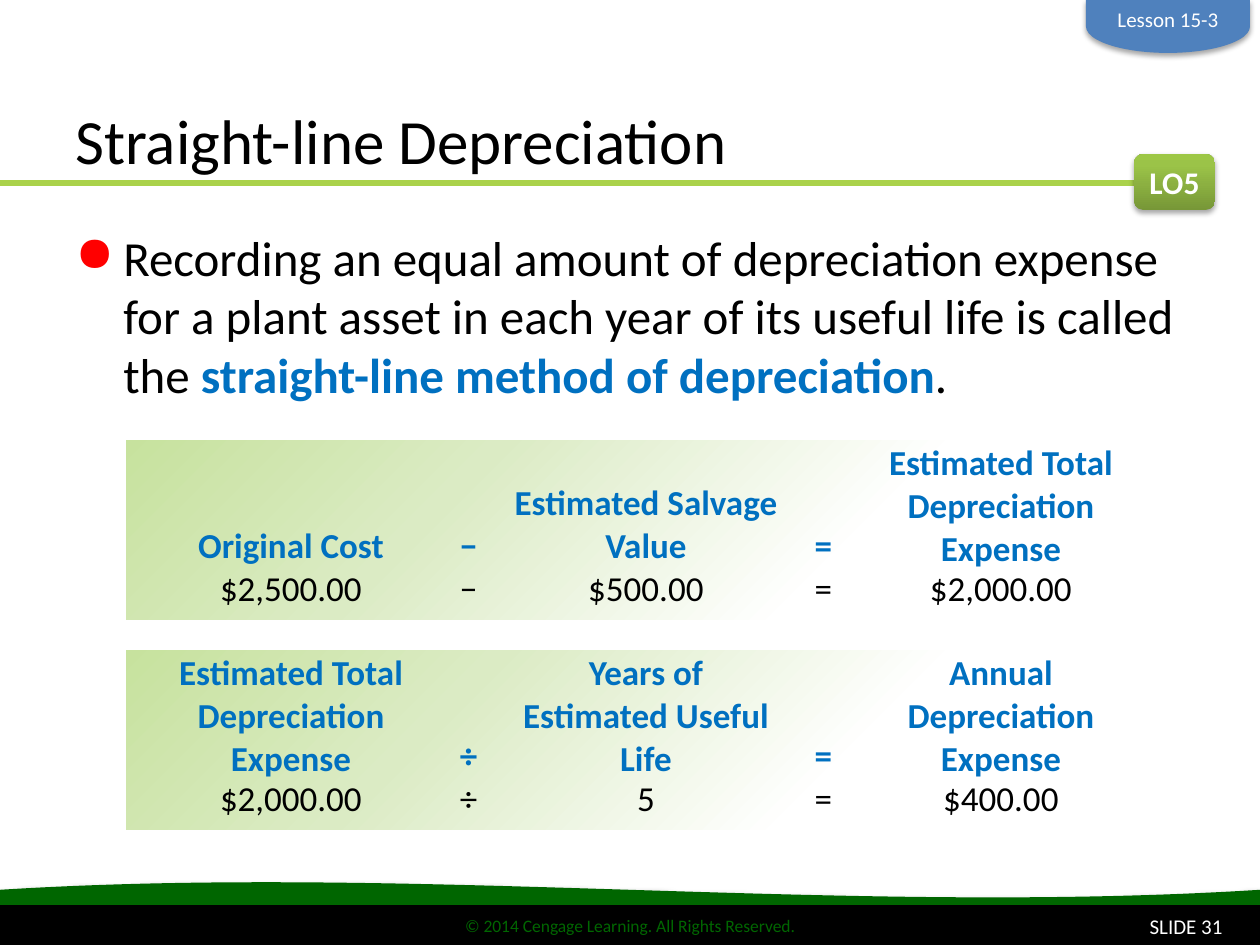
from lxml import etree
from pptx import Presentation
from pptx.dml.color import RGBColor
from pptx.enum.shapes import MSO_CONNECTOR, MSO_SHAPE
from pptx.enum.text import MSO_ANCHOR, PP_ALIGN
from pptx.oxml import parse_xml
from pptx.oxml.ns import nsdecls, qn
from pptx.util import Emu, Pt

RECT, ROUND_RECT = MSO_SHAPE.RECTANGLE, MSO_SHAPE.ROUNDED_RECTANGLE
WAVE, DELAY = MSO_SHAPE.WAVE, MSO_SHAPE.FLOWCHART_DELAY
LEFT, CENTER, RIGHT = PP_ALIGN.LEFT, PP_ALIGN.CENTER, PP_ALIGN.RIGHT
TOP, MIDDLE, BOTTOM = MSO_ANCHOR.TOP, MSO_ANCHOR.MIDDLE, MSO_ANCHOR.BOTTOM

FONT = "Calibri"
BLACK, WHITE, GREEN, BLUE = "000000", "FFFFFF", "006600", "0070C0"
PLAIN_TABLE = "{2D5ABB26-0587-4C30-8999-92F81FD0307C}"
BADGE_STOPS = [(0, "779737"), (80, "9BC348"), (100, "9DC746")]
PANEL_STOPS = [(0, "C7E29E"), (35, "DBEBC4"), (77, "FFFFFF")]
UPWARD = '<a:lin ang="16200000" scaled="0"/>'
FROM_CORNER = '<a:path path="circle"><a:fillToRect r="100000" b="100000"/></a:path>'
COLUMNS = [266, 89, 266, 89, 266]


def px(n):
    return Emu(round(n * 914400 / 126))


def rgb(value):
    return RGBColor.from_string(value)


def style(run, size, color, bold=False):
    font = run.font
    font.name, font.size, font.bold = FONT, Pt(size), bold
    font.color.rgb = rgb(color)


def write(tf, text, size, color, bold=False, align=LEFT, anchor=TOP, wrap=True):
    tf.word_wrap = wrap
    tf.vertical_anchor = anchor
    p = tf.paragraphs[0]
    p.text = text
    p.alignment = align
    style(p.runs[0], size, color, bold)


def add_text(shapes, box, *args, **kwargs):
    sp = shapes.add_textbox(*map(px, box))
    write(sp.text_frame, *args, **kwargs)


def add_block(shapes, kind, box, fill=None):
    sp = shapes.add_shape(kind, *map(px, box))
    sp.shadow.inherit = False
    sp.line.fill.background()
    if fill:
        sp.fill.solid()
        sp.fill.fore_color.rgb = rgb(fill)
    return sp


def drop_shadow(sp):
    effects = sp._element.spPr.find(qn("a:effectLst"))
    effects.append(parse_xml(
        f'<a:outerShdw {nsdecls("a")} blurRad="39400" dist="23000" dir="5400000" '
        'rotWithShape="0"><a:srgbClr val="000000"><a:alpha val="35000"/>'
        '</a:srgbClr></a:outerShdw>'))


def gradient(sp, stops, direction):
    marks = "".join(f'<a:gs pos="{pos * 1000}"><a:srgbClr val="{color}"/></a:gs>'
                    for pos, color in stops)
    grad = parse_xml(f'<a:gradFill {nsdecls("a")} rotWithShape="1">'
                     f'<a:gsLst>{marks}</a:gsLst>{direction}</a:gradFill>')
    sp._element.spPr.find(qn("a:prstGeom")).addnext(grad)


def add_footer(shapes, x, y, w, h):
    drop_shadow(add_block(shapes, WAVE, (x, y, w, h), GREEN))
    bar_y, bar_h = y + 25, h - 25
    bar = add_block(shapes, RECT, (x, bar_y, w, bar_h), BLACK)
    bar.line.color.rgb = rgb(BLACK)
    bar.line.width = Pt(2)
    write(bar.text_frame, "© 2014 Cengage Learning. All Rights Reserved.",
          10, GREEN, align=CENTER, anchor=MIDDLE)
    number = add_block(shapes, RECT, (x + w - 277, bar_y, 252, bar_h), BLACK)
    write(number.text_frame, "SLIDE 31", 12, WHITE, align=RIGHT, anchor=MIDDLE)


def add_heading(shapes, x, y, w, h):
    """Title, the rule under it and the objective badge at the rule's end."""
    rule_y = y + h
    rule = shapes.add_connector(MSO_CONNECTOR.STRAIGHT,
                                0, px(rule_y), px(x + w + 63), px(rule_y))
    rule.line.color.rgb = rgb("AAD24B")
    rule.line.width = Pt(3)
    etree.SubElement(rule._element.spPr, qn("a:effectLst"))
    add_text(shapes, (x, y, w, h), "Straight-line Depreciation", 36, BLACK,
             anchor=BOTTOM)
    badge = add_block(shapes, ROUND_RECT, (x + w, rule_y - 29, 81, 56))
    gradient(badge, BADGE_STOPS, UPWARD)
    drop_shadow(badge)
    write(badge.text_frame, "LO5", 18, WHITE, bold=True, align=CENTER,
          anchor=MIDDLE, wrap=False)


def add_lesson_tab(shapes, x, y, w, h):
    group = shapes.add_group_shape().shapes
    # The shape is laid out upright, then turned a quarter about its centre.
    tab = add_block(group, DELAY, (x + (w - h) / 2, y - (w - h) / 2, h, w), "4F81BD")
    tab.rotation = 90
    drop_shadow(tab)
    add_text(group, (x + 18, y, w - 36, 38), "Lesson 15-3", 12, WHITE,
             align=CENTER, wrap=False)


def add_definition(shapes, x, y, w, h):
    sp = shapes.add_textbox(*map(px, (x, y, w, h)))
    tf = sp.text_frame
    tf.word_wrap = True
    p = tf.paragraphs[0]
    pPr = p._p.get_or_add_pPr()
    pPr.set("marL", str(px(48)))
    pPr.set("indent", str(-px(48)))
    color = etree.SubElement(pPr, qn("a:buClr"))
    etree.SubElement(color, qn("a:srgbClr"), val="FF0000")
    etree.SubElement(pPr, qn("a:buChar"), char="●")
    parts = [
        ("Recording an equal amount of depreciation expense for a plant asset "
         "in each year of its useful life is called the ", BLACK, False),
        ("straight-line method of depreciation", BLUE, True),
        (".", BLACK, False),
    ]
    for text, color, bold in parts:
        r = p.add_run()
        r.text = text
        style(r, 28, color, bold)


def add_row(shapes, x, y, h, texts, color, bold):
    """One-row table without borders or fill."""
    frame = shapes.add_table(1, len(COLUMNS), px(x), px(y), px(sum(COLUMNS)), px(h))
    table = frame.table
    table.first_row = table.horz_banding = False
    table._tbl.tblPr.find(qn("a:tableStyleId")).text = PLAIN_TABLE
    table.rows[0].height = px(h)
    for i, (width, text) in enumerate(zip(COLUMNS, texts)):
        table.columns[i].width = px(width)
        cell = table.cell(0, i)
        cell.fill.background()
        cell.margin_left = cell.margin_right = cell.margin_top = px(1)
        cell.margin_bottom = 0
        write(cell.text_frame, text, 20, color, bold, CENTER)
        cell.vertical_anchor = BOTTOM


def add_formula(shapes, x, y, w, h, labels, values):
    panel = add_block(shapes, RECT, (x, y, w, h))
    gradient(panel, PANEL_STOPS, FROM_CORNER)
    add_row(shapes, x + 32, y, 115, labels, BLUE, True)
    add_row(shapes, x + 32, y + 126, 25, values, BLACK, False)


def main():
    prs = Presentation()
    prs.slide_width, prs.slide_height = px(1260), px(945)
    shapes = prs.slides.add_slide(prs.slide_layouts[6]).shapes

    add_footer(shapes, 0, 882, 1260, 63)
    add_heading(shapes, 63, 25, 1071, 158)
    add_definition(shapes, 63, 221, 1134, 200)
    add_lesson_tab(shapes, 1086, 0, 164, 53)
    formulas = [
        (["Original Cost", "−", "Estimated Salvage Value", "=",
          "Estimated Total Depreciation Expense"],
         ["$2,500.00", "−", "$500.00", "=", "$2,000.00"]),
        (["Estimated Total Depreciation Expense", "÷",
          "Years of Estimated Useful Life", "=", "Annual Depreciation Expense"],
         ["$2,000.00", "÷", "5", "=", "$400.00"]),
    ]
    for i, (labels, values) in enumerate(formulas):
        add_formula(shapes, 126, 441 + 210 * i, 903, 179, labels, values)

    prs.save("out.pptx")


if __name__ == "__main__":
    main()
